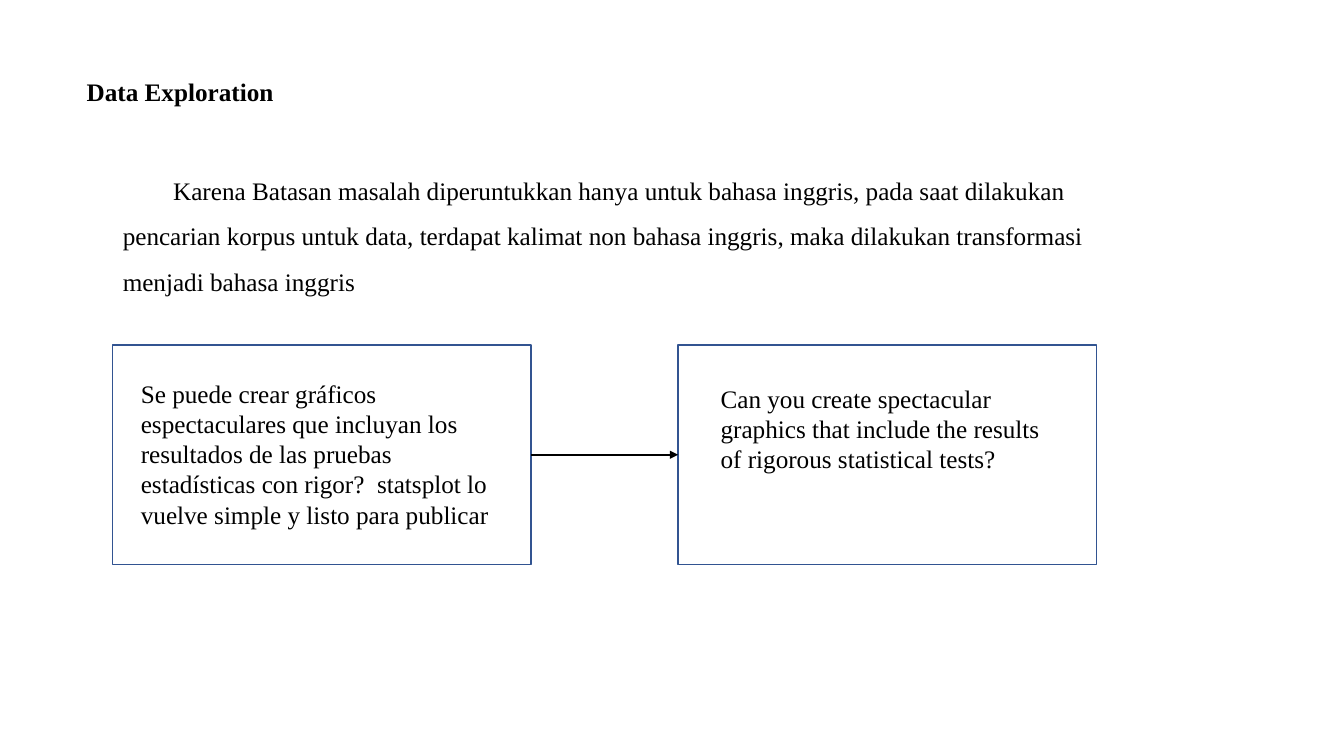
"""Build the Data Exploration slide: a note and a translation example."""
from lxml import etree
from pptx import Presentation
from pptx.dml.color import RGBColor
from pptx.enum.shapes import MSO_CONNECTOR, MSO_SHAPE
from pptx.enum.text import MSO_ANCHOR, MSO_AUTO_SIZE, PP_ALIGN
from pptx.oxml.ns import qn
from pptx.util import Cm, Pt

RECT, LINE = MSO_SHAPE.RECTANGLE, MSO_CONNECTOR.STRAIGHT
TOP, LEFT, FIXED = MSO_ANCHOR.TOP, PP_ALIGN.LEFT, MSO_AUTO_SIZE.NONE
BLACK, BLUE = "000000", "325491"
FRAME = {"word_wrap": True, "auto_size": FIXED, "vertical_anchor": TOP}
PARA = {"alignment": LEFT, "line_spacing": 1.0, "space_before": Pt(0), "space_after": Pt(0)}
FONT = {"name": "Times New Roman", "size": Pt(18), "bold": False}


def paint(color, code):
    color.rgb = RGBColor.from_string(code)


def write(shape, text, spot, para={}, font={}):
    shape.left, shape.top, shape.width, shape.height = [Cm(n) for n in spot]
    frame = shape.text_frame
    frame.text = text
    line = frame.paragraphs[0]
    face = line.runs[0].font
    for part, form in (frame, FRAME), (line, PARA | para), (face, FONT | font):
        for key, value in form.items():
            setattr(part, key, value)
    paint(face.color, BLACK)
    return line


deck = Presentation()
deck.slide_width, deck.slide_height = Cm(33.87), Cm(19.05)
slide = deck.slides.add_slide(deck.slide_layouts[1])
shapes = slide.shapes

write(shapes.title, "Data Exploration", (1.93, 1.8, 16.92, 1.02), font={"bold": True})
note = write(
    slide.placeholders[1],
    "Karena Batasan masalah diperuntukkan hanya untuk bahasa inggris, pada saat "
    "dilakukan pencarian korpus untuk data, terdapat kalimat non bahasa inggris, "
    "maka dilakukan transformasi menjadi bahasa inggris",
    (2.84, 3.91, 25.48, 3.61),
    {"line_spacing": 1.5, "space_after": Pt(8)},
)
props = note._p.get_or_add_pPr()
props.set("marL", "0")
props.set("indent", str(Cm(1.27)))
etree.SubElement(props, qn("a:buNone"))

samples = [
    (2.84, (3.3, 9.4, 9.63, 4.11),
     "Se puede crear gráficos espectaculares que incluyan los resultados de las "
     "pruebas estadísticas con rigor?  statsplot lo vuelve simple y listo para publicar"),
    (17.09, (17.91, 9.53, 8.97, 2.57),
     "Can you create spectacular graphics that include the results of rigorous "
     "statistical tests?"),
]
boxes = []
for left, spot, text in samples:
    box = shapes.add_shape(RECT, Cm(left), Cm(8.69), Cm(10.54), Cm(5.54))
    box.shadow.inherit = False
    box.fill.background()
    box.line.width = Pt(1)
    paint(box.line.color, BLUE)
    boxes.append(box)
    write(shapes.add_textbox(0, 0, 0, 0), text, spot)

arrow = shapes.add_connector(LINE, 0, 0, 0, 0)
arrow.begin_connect(boxes[0], 3)
arrow.end_connect(boxes[1], 1)
arrow.line.width = Pt(1.5)
paint(arrow.line.color, BLACK)
etree.SubElement(arrow.line._get_or_add_ln(), qn("a:tailEnd"), type="triangle")
etree.SubElement(arrow._element.spPr, qn("a:effectLst"))

deck.save("out.pptx")
